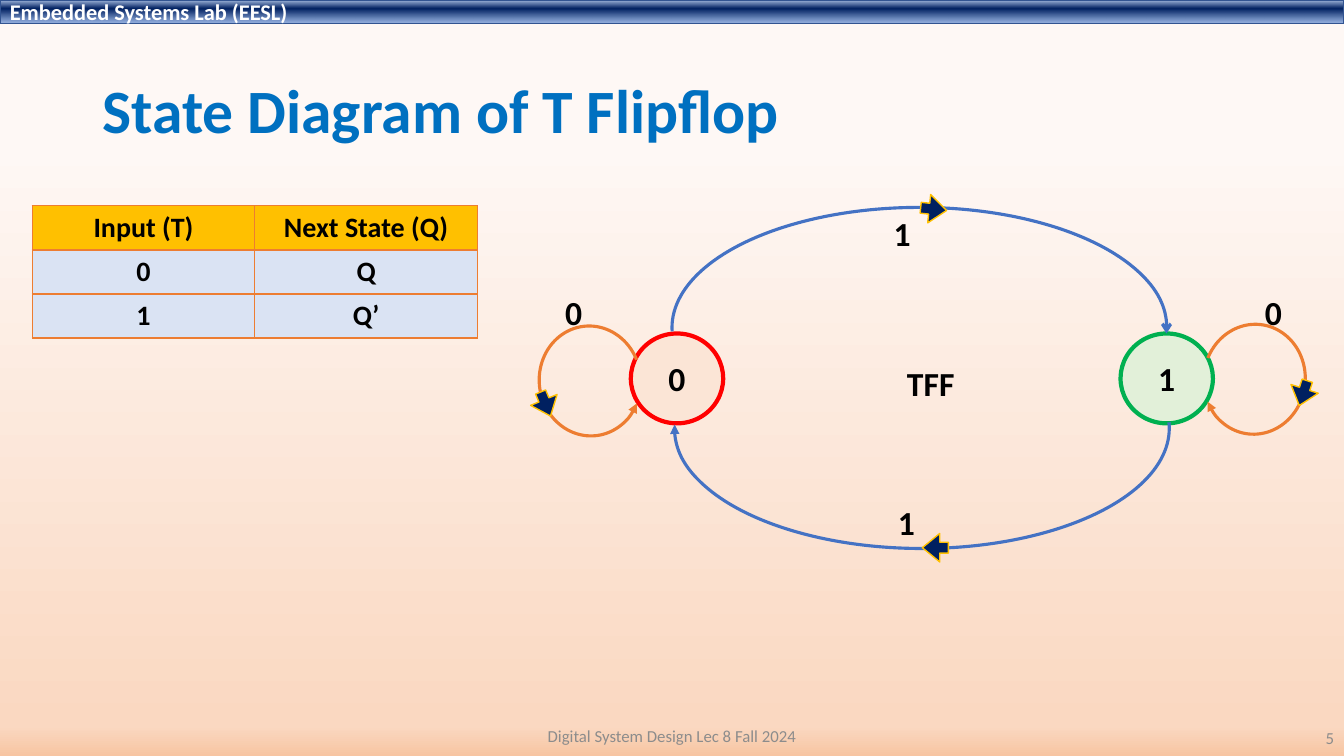
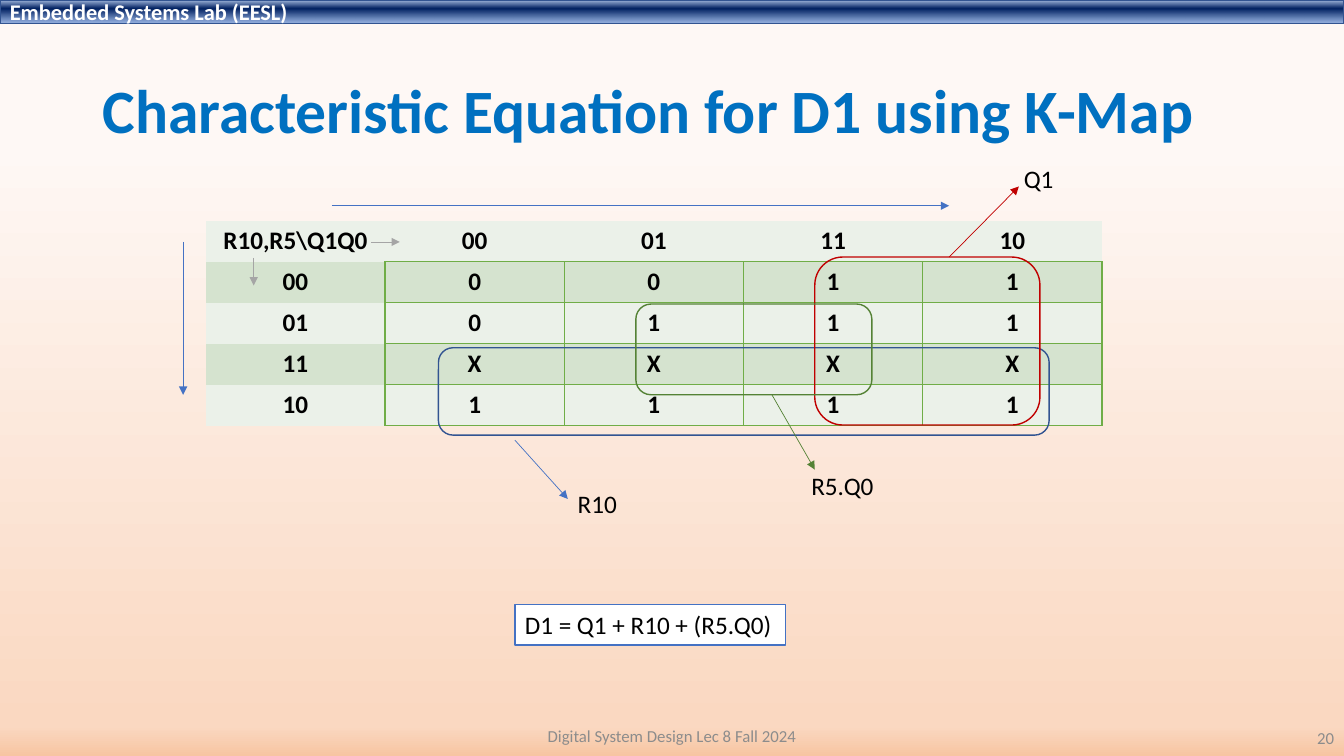
"""Build two digital design slides: a T flip-flop state diagram and a K-map."""
import dataclasses
import typing

import lxml.etree
import pptx
import pptx.dml.color
import pptx.enum.shapes
import pptx.enum.text
import pptx.oxml.ns
import pptx.util

Rgb = pptx.dml.color.RGBColor
Preset = pptx.enum.shapes.MSO_SHAPE
Align = pptx.enum.text.PP_ALIGN
Anchor = pptx.enum.text.MSO_ANCHOR
qn = pptx.oxml.ns.qn

FONT = "Calibri"
SLIDE_WIDTH = pptx.util.Inches(13.333)
SLIDE_HEIGHT = pptx.util.Inches(7.5)
COLUMNS, ROWS = 160, 90
COLORS = {
    "title": "0070C0", "text": "000000", "white": "FFFFFF", "footer": "8C8C8C",
    "navy": "002060", "band_edge": "325491", "blue": "4472C4", "gold": "FFC000",
    "orange": "ED7D31", "peach": "FBE5D6", "red": "FF0000", "mint": "E2F0D9",
    "green": "00B050", "ice": "DAE3F3", "leaf": "70AD47", "pale": "EBF1E9",
    "sage": "D5E3CF", "crimson": "C00000", "moss": "548235", "gray": "A5A5A5",
    "band_top": "ABC0E4", "band_bottom": "7E9ED6",
    "page_top": "FEF8F5", "page_low": "FAD8C1", "page_bottom": "F7C5A2",
}


class Area(typing.NamedTuple):
    column: float
    row: float
    width: float
    height: float


class Stop(typing.NamedTuple):
    position: int
    color: str
    opacity: int = 100


class Edge(typing.NamedTuple):
    color: str
    width: float


@dataclasses.dataclass(frozen=True)
class Style:
    size: float
    color: str = "text"
    bold: bool = False
    align: Align = Align.LEFT


@dataclasses.dataclass(frozen=True)
class Label:
    text: str
    column: float
    row: float
    width: float = 4.4


@dataclasses.dataclass(frozen=True)
class Arc:
    area: Area
    start: float
    end: float
    color: str
    arrow_end: str
    arrow_kind: str = "triangle"
    rotation: float = 0
    flip: str = ""


@dataclasses.dataclass(frozen=True)
class Marker:
    column: float
    row: float
    rotation: float


@dataclasses.dataclass(frozen=True)
class Arrow:
    start: tuple[float, float]
    end: tuple[float, float]
    color: str = "blue"


STATE = Style(24, bold=True, align=Align.CENTER)
STATE_LABEL = Style(24, bold=True)
KMAP_LABEL = Style(18)
TRUTH_TABLE = [["Input (T)", "Next State (Q)"], ["0", "Q"], ["1", "Q’"]]
KMAP = [
    ["R10,R5\\Q1Q0", "00", "01", "11", "10"],
    ["00", "0", "0", "1", "1"],
    ["01", "0", "1", "1", "1"],
    ["11", "X", "X", "X", "X"],
    ["10", "1", "1", "1", "1"],
]
ARCS = [
    Arc(Area(80, 24.7, 58.9, 28.6), 179.12, 1.4, "blue", "tail", "arrow"),
    Arc(Area(80.3, 36.7, 58.9, 28.6), 179.12, 1.4, "blue", "head", flip="flipV"),
    Arc(Area(64.2, 38.8, 12.1, 13.1), 32.08, 341.99, "orange", "head", rotation=353.5),
    Arc(Area(143.3, 38.6, 12.1, 13.1), 32.08, 341.99, "orange", "head",
        rotation=6.5, flip="flipH"),
]
STATE_LABELS = [
    Label("0", 149.4, 34.2), Label("1", 105.7, 59.2), Label("0", 66.1, 34.2),
    Label("TFF", 106.8, 42.6, 8.2), Label("1", 105.2, 24.7),
]
MARKERS = [
    Marker(109.8, 63.5, 180), Marker(109.6, 23.2, 6),
    Marker(63.4, 46.4, 67.6), Marker(153.6, 45.1, 107.8),
]
KMAP_GROUPS = [
    (Area(52.2, 41.4, 72.7, 10.4), "band_edge"),
    (Area(97, 30.6, 26.8, 20), "crimson"),
    (Area(75.7, 36.2, 28.1, 10.8), "moss"),
]
KMAP_ARROWS = [
    Arrow((21.8, 28.8), (21.8, 47)),
    Arrow((39.5, 24.5), (113, 24.5)),
    Arrow((113, 30.6), (121.3, 22.2), "crimson"),
    Arrow((61.3, 52.4), (67.6, 59.4)),
    Arrow((91.9, 47), (97, 55.9), "moss"),
    Arrow((44.2, 28.8), (47.6, 28.8), "gray"),
    Arrow((30.2, 30.7), (30.2, 34), "gray"),
]
KMAP_LABELS = [
    Label("Q1", 120.7, 18.8, 6), Label("R10", 67.6, 57.6, 7.1),
    Label("R5.Q0", 95.4, 55.4, 10),
]


def rgb(name: str) -> Rgb:
    return Rgb.from_string(COLORS[name])


def across(columns: float) -> int:
    return round(SLIDE_WIDTH * columns / COLUMNS)


def down(rows: float) -> int:
    return round(SLIDE_HEIGHT * rows / ROWS)


def place(area: Area) -> tuple[int, int, int, int]:
    return across(area.column), down(area.row), across(area.width), down(area.height)


def write(text_frame, text: str, style: Style) -> None:
    text_frame.text = text
    paragraph = text_frame.paragraphs[0]
    paragraph.alignment = style.align
    font = paragraph.runs[0].font
    font.name, font.size, font.bold = FONT, pptx.util.Pt(style.size), style.bold
    font.color.rgb = rgb(style.color)


def add_text(slide, text: str, area: Area, style: Style, wrap: bool = False,
             anchor: Anchor = Anchor.TOP):
    shape = slide.shapes.add_textbox(*place(area))
    write(shape.text_frame, text, style)
    shape.text_frame.word_wrap = wrap
    shape.text_frame.vertical_anchor = anchor
    return shape


def add_labels(slide, labels: list[Label], style: Style, height: float) -> None:
    for label in labels:
        add_text(slide, label.text, Area(label.column, label.row, label.width, height), style)


def set_line(shape, edge: Edge) -> None:
    shape.line.color.rgb = rgb(edge.color)
    shape.line.width = pptx.util.Pt(edge.width)


def add_preset(slide, preset: Preset, area: Area, edge: Edge, fill: str | None = None):
    shape = slide.shapes.add_shape(preset, *place(area))
    shape.shadow.inherit = False
    set_line(shape, edge)
    if fill:
        shape.fill.solid()
        shape.fill.fore_color.rgb = rgb(fill)
    else:
        shape.fill.background()
    return shape


def add_arrowhead(shape, end: str, kind: str = "triangle") -> None:
    line = shape.element.find(".//" + qn("a:ln"))
    lxml.etree.SubElement(line, qn(f"a:{end}End"), type=kind)


def set_gradient(fill, element, stops: list[Stop]) -> None:
    fill.gradient()
    fill.gradient_angle = 270
    stop_list = element.find(".//" + qn("a:gsLst"))
    for child in list(stop_list):
        stop_list.remove(child)
    for stop in stops:
        entry = lxml.etree.SubElement(stop_list, qn("a:gs"), pos=str(stop.position * 1000))
        color = lxml.etree.SubElement(entry, qn("a:srgbClr"), val=COLORS[stop.color])
        if stop.opacity < 100:
            lxml.etree.SubElement(color, qn("a:alpha"), val=str(stop.opacity * 1000))


def add_arc(slide, arc: Arc) -> None:
    shape = add_preset(slide, Preset.ARC, arc.area, Edge(arc.color, 2.25))
    for index, degrees in enumerate((arc.start, arc.end)):
        shape.adjustments[index] = degrees * 0.6
    shape.rotation = arc.rotation
    if arc.flip:
        shape.element.find(".//" + qn("a:xfrm")).set(arc.flip, "1")
    add_arrowhead(shape, arc.arrow_end, arc.arrow_kind)


def add_arrow(slide, arrow: Arrow) -> None:
    (left, top), (right, bottom) = arrow.start, arrow.end
    connector = slide.shapes.add_connector(
        pptx.enum.shapes.MSO_CONNECTOR.STRAIGHT,
        across(left), down(top), across(right), down(bottom))
    set_line(connector, Edge(arrow.color, 0.5))
    add_arrowhead(connector, "tail")
    lxml.etree.SubElement(connector.element.spPr, qn("a:effectLst"))


def set_borders(cell, edges: dict[str, Edge]) -> None:
    properties = cell._tc.get_or_add_tcPr()
    for index, side in enumerate("LRTB"):
        edge = edges.get(side)
        line = lxml.etree.Element(qn(f"a:ln{side}"))
        if edge:
            line.set("w", str(pptx.util.Pt(edge.width)))
            fill = lxml.etree.SubElement(line, qn("a:solidFill"))
            lxml.etree.SubElement(fill, qn("a:srgbClr"), val=COLORS[edge.color])
        else:
            lxml.etree.SubElement(line, qn("a:noFill"))
        properties.insert(index, line)


def add_grid(slide, rows: list[list[str]], corner: tuple[float, float],
             cell_size: tuple[float, float], size: float,
             fill_of: typing.Callable[[int], str],
             edges_of: typing.Callable[[int, int], dict[str, Edge]]) -> None:
    width, height = cell_size
    area = Area(*corner, width * len(rows[0]), height * len(rows))
    table = slide.shapes.add_table(len(rows), len(rows[0]), *place(area)).table
    table.first_row = table.horz_banding = False
    for row, texts in enumerate(rows):
        for column, text in enumerate(texts):
            cell = table.cell(row, column)
            write(cell.text_frame, text, Style(size, bold=True, align=Align.CENTER))
            cell.fill.solid()
            cell.fill.fore_color.rgb = rgb(fill_of(row))
            set_borders(cell, edges_of(row, column))


def truth_edges(row: int, column: int) -> dict[str, Edge]:
    edges = dict.fromkeys("LRTB", Edge("orange", 1))
    heavy_side = {0: "B", 1: "T"}.get(row)
    return edges | ({heavy_side: Edge("orange", 2)} if heavy_side else {})


def kmap_edges(row: int, column: int) -> dict[str, Edge]:
    sides = "LRTB" if row and column else "R" if row else "B" if column else ""
    return dict.fromkeys(sides, Edge("leaf", 1))


def add_slide(presentation, title: str, number: str):
    slide = presentation.slides.add_slide(presentation.slide_layouts[5])
    heading = slide.shapes.title
    heading.left, heading.top, heading.width, heading.height = place(Area(11, 4.8, 138, 17.4))
    write(heading.text_frame, title, Style(44, "title", True))
    heading.text_frame.paragraphs[0].line_spacing = 0.9
    heading.text_frame.vertical_anchor = Anchor.MIDDLE
    heading.text_frame.auto_size = pptx.enum.text.MSO_AUTO_SIZE.NONE
    add_text(slide, "Digital System Design Lec 8 Fall 2024", Area(53, 85.2, 54, 4.8),
             Style(12, "footer", align=Align.CENTER), True, Anchor.MIDDLE)
    add_text(slide, number, Area(124, 85.4, 36, 4.8),
             Style(12, "footer", align=Align.RIGHT), True, Anchor.MIDDLE)
    return slide


def set_shared_look(presentation, slide) -> None:
    master = presentation.slide_master
    set_gradient(master.background.fill, master.element, [
        Stop(19, "page_top", 97), Stop(96, "page_low"), Stop(100, "page_bottom")])
    band = add_preset(slide, Preset.RECTANGLE, Area(0, 0, COLUMNS, 2.8), Edge("band_edge", 1))
    set_gradient(band.fill, band.element, [
        Stop(2, "band_top"), Stop(38, "navy"), Stop(93, "band_bottom", 87)])
    write(band.text_frame, "Embedded Systems Lab (EESL)", Style(16, "white", True))
    slide.slide_layout.shapes.element.append(band.element)


def fill_state_diagram(slide) -> None:
    add_grid(slide, TRUTH_TABLE, (3.84, 24.5), (26.5, 5.25), 20,
             lambda row: "ice" if row else "gold", truth_edges)
    for text, column, fill, line in (("0", 75.1, "peach", "red"), ("1", 133.4, "mint", "green")):
        state = add_preset(slide, Preset.OVAL, Area(column, 39.7, 11, 10.7), Edge(line, 3), fill)
        write(state.text_frame, text, STATE)
    for arc in ARCS:
        add_arc(slide, arc)
    add_labels(slide, STATE_LABELS, STATE_LABEL, 6)
    for marker in MARKERS:
        shape = add_preset(slide, Preset.RIGHT_ARROW, Area(marker.column, marker.row, 3.1, 3.4),
                           Edge("gold", 1), "navy")
        shape.adjustments[0], shape.adjustments[1] = 0.38, 0.67
        shape.rotation = marker.rotation


def fill_kmap(slide) -> None:
    add_grid(slide, KMAP, (24.5, 26.3), (21.34, 4.88), 18,
             lambda row: "sage" if row % 2 else "pale", kmap_edges)
    for area, color in KMAP_GROUPS:
        add_preset(slide, Preset.ROUNDED_RECTANGLE, area, Edge(color, 1))
    for arrow in KMAP_ARROWS:
        add_arrow(slide, arrow)
    add_labels(slide, KMAP_LABELS, KMAP_LABEL, 4.8)
    equation = add_text(slide, "D1 = Q1 + R10 + (R5.Q0)", Area(61.3, 72, 32.2, 4.8),
                        KMAP_LABEL, True)
    equation.fill.solid()
    equation.fill.fore_color.rgb = rgb("white")
    set_line(equation, Edge("blue", 1))


def main() -> None:
    presentation = pptx.Presentation()
    presentation.slide_width, presentation.slide_height = SLIDE_WIDTH, SLIDE_HEIGHT
    state_slide = add_slide(presentation, "State Diagram of T Flipflop", "5")
    set_shared_look(presentation, state_slide)
    fill_state_diagram(state_slide)
    fill_kmap(add_slide(presentation, "Characteristic Equation for D1 using K-Map", "20"))
    presentation.save("out.pptx")


if __name__ == "__main__":
    main()
